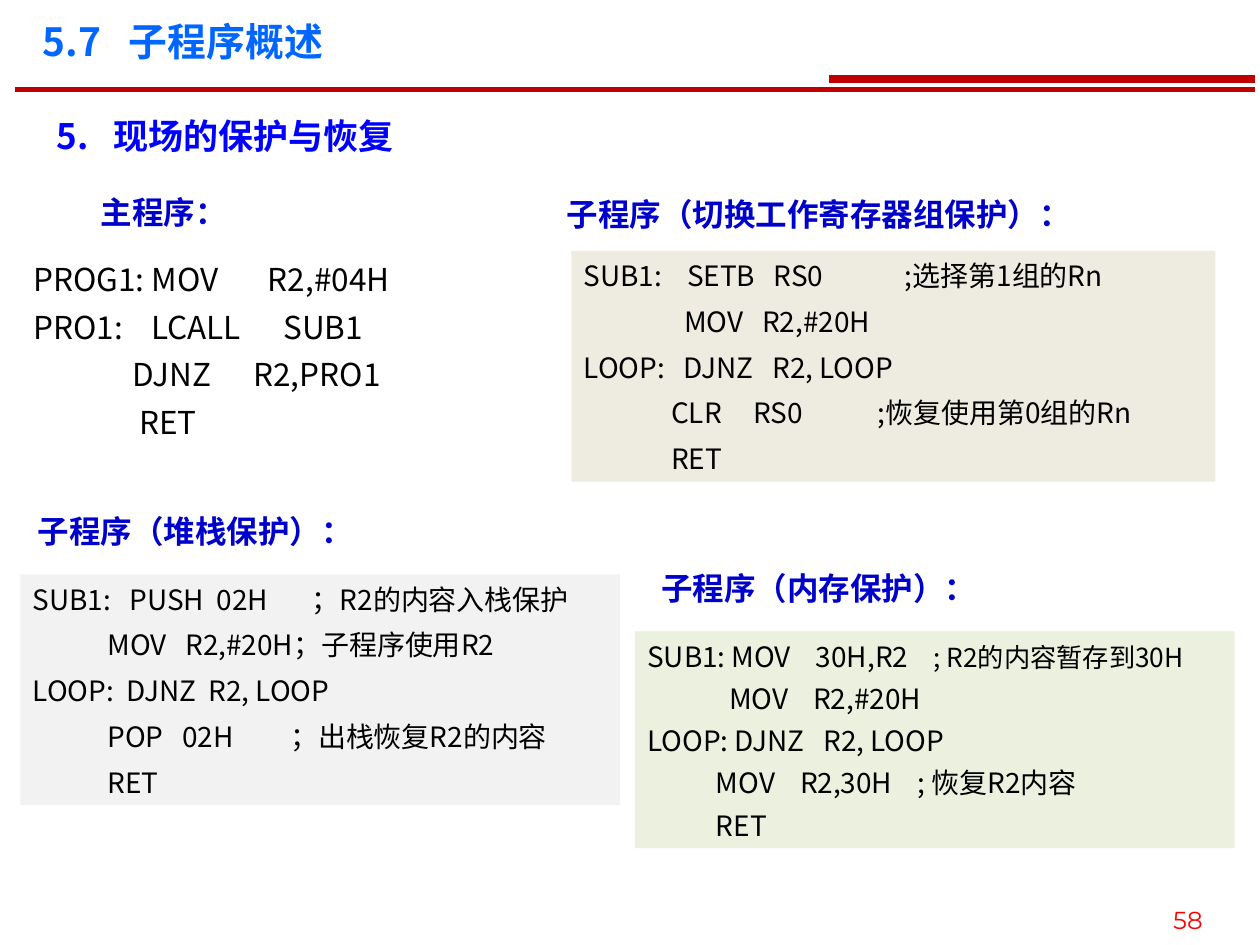
from lxml import etree
from pptx import Presentation
from pptx.dml.color import RGBColor
from pptx.enum.shapes import MSO_CONNECTOR, MSO_SHAPE
from pptx.enum.text import MSO_ANCHOR, PP_ALIGN
from pptx.oxml.ns import qn
from pptx.util import Cm, Pt

TEXT_FONT = "Noto Sans CJK SC"
BLACK = RGBColor(0x00, 0x00, 0x00)
RED = RGBColor(0xFF, 0x00, 0x00)
RULE_RED = RGBColor(0xC0, 0x00, 0x00)
TITLE_BLUE = RGBColor(0x00, 0x66, 0xFF)
HEADING_BLUE = RGBColor(0x00, 0x00, 0xFF)
LABEL_BLUE = RGBColor(0x00, 0x00, 0xCC)
GREEN_TINT = RGBColor(0xEB, 0xF1, 0xDE)
TAN_TINT = RGBColor(0xEE, 0xEC, 0xE1)
GRAY_TINT = RGBColor(0xF2, 0xF2, 0xF2)


def add_run(paragraph, text, size, color, bold=False, font=TEXT_FONT):
    run = paragraph.add_run()
    run.text = text
    run.font.size = Pt(size)
    run.font.bold = bold
    run.font.color.rgb = color
    run.font.name = font
    etree.SubElement(run.font._element, qn("a:ea"), typeface=font)


def add_tab_stop(paragraph, position):
    stops = etree.SubElement(paragraph._p.get_or_add_pPr(), qn("a:tabLst"))
    etree.SubElement(stops, qn("a:tab"), pos=str(position), algn="l")


prs = Presentation()
prs.slide_width, prs.slide_height = Cm(25.4), Cm(19.05)
slide = prs.slides.add_slide(prs.slide_layouts[5])
shapes = slide.shapes

# Title and section heading: the number, then the text at a tab stop
title = shapes.title
title.left, title.top, title.width, title.height = Cm(0.61), Cm(0.3), Cm(12.09), Cm(1.19)
heading = shapes.add_textbox(Cm(0.89), Cm(2.13), Cm(12.09), Cm(1.19))
for box, number, words, size, color, stop in [
    (title, "5.7", "子程序概述", 22.2, TITLE_BLUE, Cm(1.73)),
    (heading, "5.", "现场的保护与恢复", 20, HEADING_BLUE, Cm(1.14)),
]:
    frame = box.text_frame
    frame.word_wrap = True
    frame.vertical_anchor = MSO_ANCHOR.MIDDLE
    paragraph = frame.paragraphs[0]
    paragraph.alignment = PP_ALIGN.LEFT
    add_tab_stop(paragraph, stop)
    add_run(paragraph, f"{number}\t{words}", size, color, bold=True)
title.text_frame.paragraphs[0].line_spacing = 0.9

# Double rule under the title
for left, top, weight in [(0.3, 1.8, 3), (16.71, 1.6, 4.5)]:
    rule = shapes.add_connector(MSO_CONNECTOR.STRAIGHT, Cm(left), Cm(top), Cm(25.3), Cm(top))
    rule.line.color.rgb = RULE_RED
    rule.line.width = Pt(weight)
    etree.SubElement(rule._element.spPr, qn("a:effectLst"))

# Labels above the listings
for text, left, top, width, spacing in [
    ("主程序：", 1.78, 3.76, 3.05, 1.0),
    ("子程序（切换工作寄存器组保护）：", 11.18, 3.73, 10.67, 1.1),
    ("子程序（堆栈保护）：", 0.51, 10.13, 6.86, 1.1),
    ("子程序（内存保护）：", 13.08, 11.3, 6.86, 1.05),
]:
    label = shapes.add_textbox(Cm(left), Cm(top), Cm(width), Cm(1.08))
    label.text_frame.word_wrap = False
    paragraph = label.text_frame.paragraphs[0]
    paragraph.line_spacing = spacing
    add_run(paragraph, text, 18, LABEL_BLUE, bold=True)

# Each code line is (left margin in cm, runs of (text, size))
main_program = [
    (0, [("   PROG1: MOV       R2,#04H", 18)]),
    (0, [("   PRO1:    LCALL      SUB1", 18)]),
    (0, [("                 DJNZ      R2,PRO1", 18)]),
    (0, [("                  RET", 18)]),
]
register_bank = [
    (0, [("SUB1:    SETB   RS0             ;选择第1组的Rn", 16)]),
    (1.27, [("      MOV   R2,#20H", 16)]),
    (0, [("LOOP:   DJNZ   R2, LOOP", 16)]),
    (0, [("              CLR     RS0            ;恢复使用第0组的Rn", 16)]),
    (0, [("              RET", 16)]),
]
stack = [
    (0, [("SUB1:   PUSH  02H       ；R2的内容入栈保护", 16)]),
    (0, [("            MOV   R2,#20H；子程序使用R2", 16)]),
    (0, [("LOOP:  DJNZ  R2, LOOP", 16)]),
    (0, [("            POP   02H         ；出栈恢复R2的内容", 16)]),
    (0, [("            RET", 16)]),
]
memory = [
    (0, [("SUB1: MOV    30H,R2    ", 16), ("; R2的内容暂存到30H", 15)]),
    (1.27, [("   MOV    R2,#20H", 16)]),
    (0, [("LOOP: DJNZ   R2, LOOP", 16)]),
    (0, [("           MOV    R2,30H    ; 恢复R2内容", 16)]),
    (0, [("           RET", 16)]),
]

for code, left, top, width, height, tint, gap in [
    (main_program, 0, 5.08, 9.32, 5.46, None, 4.5),
    (register_bank, 11.52, 5.06, 12.98, 4.65, TAN_TINT, 6),
    (stack, 0.41, 11.58, 12.09, 4.65, GRAY_TINT, 6),
    (memory, 12.8, 12.73, 12.09, 4.37, GREEN_TINT, 4),
]:
    place = Cm(left), Cm(top), Cm(width), Cm(height)
    if tint is None:
        listing = shapes.add_textbox(*place)
    else:
        listing = shapes.add_shape(MSO_SHAPE.RECTANGLE, *place)
        listing.shadow.inherit = False
        listing.fill.solid()
        listing.fill.fore_color.rgb = tint
        listing.line.fill.background()
    frame = listing.text_frame
    frame.word_wrap = True
    frame.vertical_anchor = MSO_ANCHOR.TOP
    for index, (margin, runs) in enumerate(code):
        paragraph = frame.add_paragraph() if index else frame.paragraphs[0]
        paragraph.alignment = PP_ALIGN.LEFT
        paragraph.line_spacing = 1.05
        if index:
            paragraph.space_before = Pt(gap)
        paragraph._p.get_or_add_pPr().set("marL", str(Cm(margin)))
        for text, size in runs:
            add_run(paragraph, text, size, BLACK)

page_number = shapes.add_textbox(Cm(23.01), Cm(18.11), Cm(1.88), Cm(0.89))
page_number.text_frame.word_wrap = True
paragraph = page_number.text_frame.paragraphs[0]
paragraph.alignment = PP_ALIGN.CENTER
add_run(paragraph, "58", 14, RED, font="Montserrat")

prs.save("out.pptx")
